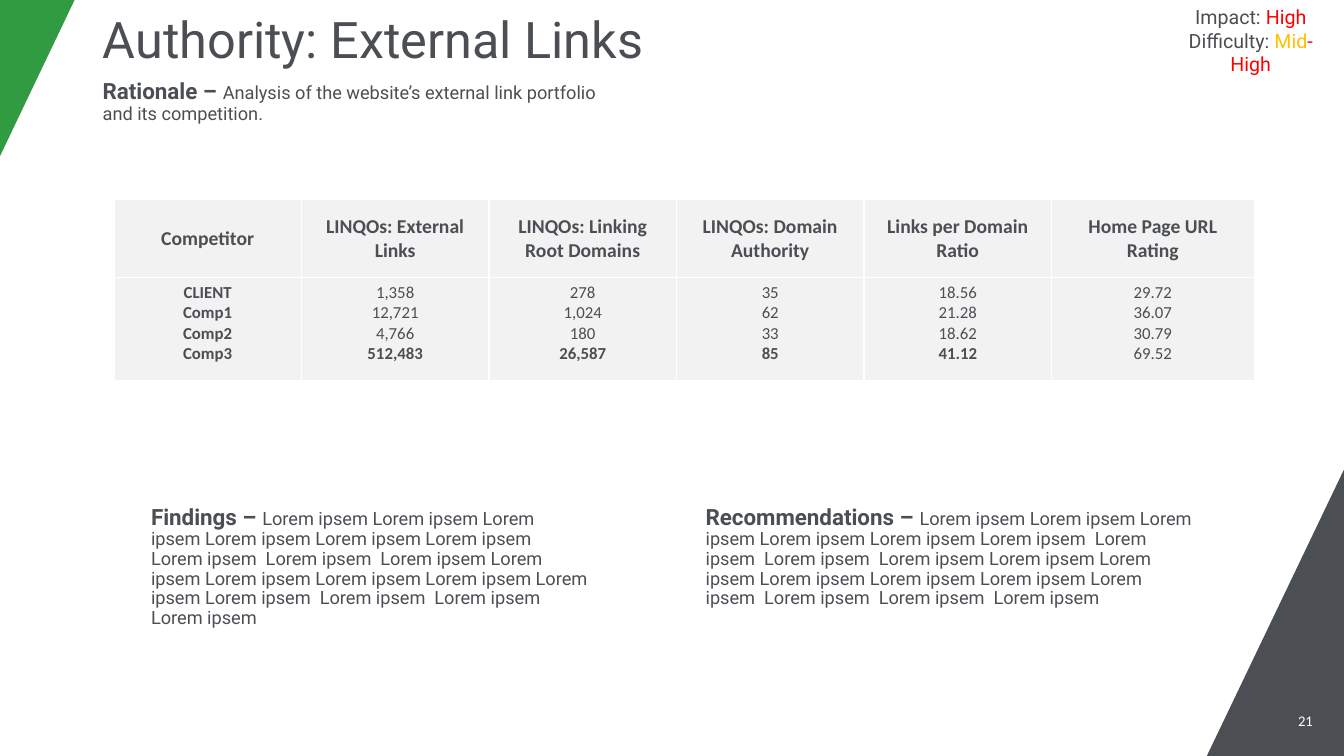
from lxml import etree
from pptx import Presentation
from pptx.dml.color import RGBColor
from pptx.enum.shapes import MSO_SHAPE as Shape
from pptx.enum.text import MSO_ANCHOR as Anchor, PP_ALIGN as Align
from pptx.oxml.ns import qn
from pptx.util import Inches, Pt

COLORS = {"slate": "4B4F54", "text": "4B4F53", "green": "319B42", "red": "FF0000",
          "amber": "FFC000", "cell": "F2F2F2", "white": "FFFFFF"}


def style(font, name, size, color, bold=False):
    font.name, font.size, font.bold = name, Pt(size), bold
    font.color.rgb = RGBColor.from_string(COLORS[color])


def add_run(paragraph, text, *font_style):
    run = paragraph.add_run()
    run.text = text
    style(run.font, *font_style)


prs = Presentation()
prs.slide_width, prs.slide_height = Inches(13.33), Inches(7.5)
slide = prs.slides.add_slide(prs.slide_layouts[5])
shapes = slide.shapes

# Corner triangles
for left, top, width, height, color, flip in [
    (11.97, 4.66, 1.36, 2.84, "slate", "flipH"),
    (0, 0, 0.74, 1.55, "green", "flipV"),
]:
    corner = shapes.add_shape(Shape.RIGHT_TRIANGLE, Inches(left), Inches(top),
                              Inches(width), Inches(height))
    corner.shadow.inherit = False
    corner.fill.solid()
    corner.fill.fore_color.rgb = RGBColor.from_string(COLORS[color])
    corner.line.fill.background()
    corner._element.spPr.xfrm.set(flip, "1")

# Title
title = shapes.title
title.left, title.top = Inches(0.92), Inches(0.09)
title.width, title.height = Inches(11.96), Inches(0.65)
title.text_frame.text = "Authority: External Links"
title.text_frame.vertical_anchor = Anchor.MIDDLE
heading = title.text_frame.paragraphs[0]
heading.alignment = Align.LEFT
heading.line_spacing = 0.9
style(heading.runs[0].font, "Roboto", 36, "slate")

# Slide number
number = shapes.add_textbox(Inches(12.26), Inches(6.95), Inches(0.86), Inches(0.4)).text_frame
number.word_wrap = True
number.vertical_anchor = Anchor.MIDDLE
number.text = "21"
number.paragraphs[0].alignment = Align.RIGHT
style(number.paragraphs[0].runs[0].font, "Calibri", 10.5, "white")

# Sections with a bold lead-in
lorem = ("Lorem ipsem Lorem ipsem Lorem ipsem Lorem ipsem Lorem ipsem Lorem ipsem  "
         "Lorem ipsem  Lorem ipsem  Lorem ipsem Lorem ipsem Lorem ipsem Lorem ipsem "
         "Lorem ipsem Lorem ipsem Lorem ipsem  Lorem ipsem  Lorem ipsem  Lorem ipsem")
rationale = "Analysis of the website’s external link portfolio and its competition."
for lead, body, left, top, width, height in [
    ("Rationale – ", rationale, 0.92, 0.75, 5.24, 1.39),
    ("Recommendations – ", lorem, 6.9, 4.97, 5.05, 2.3),
    ("Findings – ", lorem, 1.4, 4.97, 4.53, 2.3),
]:
    section = shapes.add_textbox(Inches(left), Inches(top), Inches(width), Inches(height))
    section.text_frame.word_wrap = True
    paragraph = section.text_frame.paragraphs[0]
    paragraph.line_spacing = 0.9
    add_run(paragraph, lead, "Roboto", 16, "slate", True)
    add_run(paragraph, body, "Roboto", 13, "slate")

# Impact and difficulty rating
rating = shapes.add_shape(Shape.RECTANGLE, Inches(11.5), 0, Inches(1.81), Inches(0.57))
rating.shadow.inherit = False
rating.fill.background()
rating.line.color.rgb = RGBColor.from_string(COLORS["white"])
rating.line.width = Pt(0.75)
rating.text_frame.word_wrap = True
rating.text_frame.vertical_anchor = Anchor.TOP
rating.text_frame.add_paragraph()
rating_lines = [
    [("Impact: ", "text"), ("High", "red")],
    [("Difficulty: ", "text"), ("Mid", "amber"), ("-High", "red")],
]
for paragraph, parts in zip(rating.text_frame.paragraphs, rating_lines):
    paragraph.alignment = Align.CENTER
    for text, color in parts:
        add_run(paragraph, text, "Roboto", 14, color)

# Competitor table: header, values, and which values are bold
columns = [
    ("Competitor", ["CLIENT", "Comp1", "Comp2", "Comp3"], {0, 1, 2, 3}),
    ("LINQOs: External Links", ["1,358", "12,721", "4,766", "512,483"], {3}),
    ("LINQOs: Linking Root Domains", ["278", "1,024", "180", "26,587"], {3}),
    ("LINQOs: Domain Authority", ["35", "62", "33", "85"], {3}),
    ("Links per Domain Ratio", ["18.56", "21.28", "18.62", "41.12"], {3}),
    ("Home Page URL Rating", ["29.72", "36.07", "30.79", "69.52"], set()),
]
competitors = shapes.add_table(2, len(columns), Inches(1.13), Inches(1.98),
                               Inches(11.3), Inches(1.8)).table
competitors.rows[0].height, competitors.rows[1].height = Inches(0.77), Inches(1.03)

for index, (header, values, bold_rows) in enumerate(columns):
    competitors.columns[index].width = Inches(2.01 if index == len(columns) - 1 else 1.86)
    for row, (lines, size, bold) in enumerate([([header], 14, {0}), (values, 12, bold_rows)]):
        cell = competitors.cell(row, index)
        cell.vertical_anchor = Anchor.TOP if row else Anchor.MIDDLE
        cell.text_frame.text = "\n".join(lines)
        for line, paragraph in enumerate(cell.text_frame.paragraphs):
            paragraph.alignment = Align.CENTER
            style(paragraph.runs[0].font, "Calibri", size, "text", line in bold)
        properties = cell._tc.get_or_add_tcPr()
        for side in ("a:lnL", "a:lnR", "a:lnT", "a:lnB"):
            border = etree.SubElement(properties, qn(side), w=str(Pt(1)))
            fill = etree.SubElement(border, qn("a:solidFill"))
            etree.SubElement(fill, qn("a:srgbClr"), val=COLORS["white"])
        cell.fill.solid()
        cell.fill.fore_color.rgb = RGBColor.from_string(COLORS["cell"])

prs.save("out.pptx")
